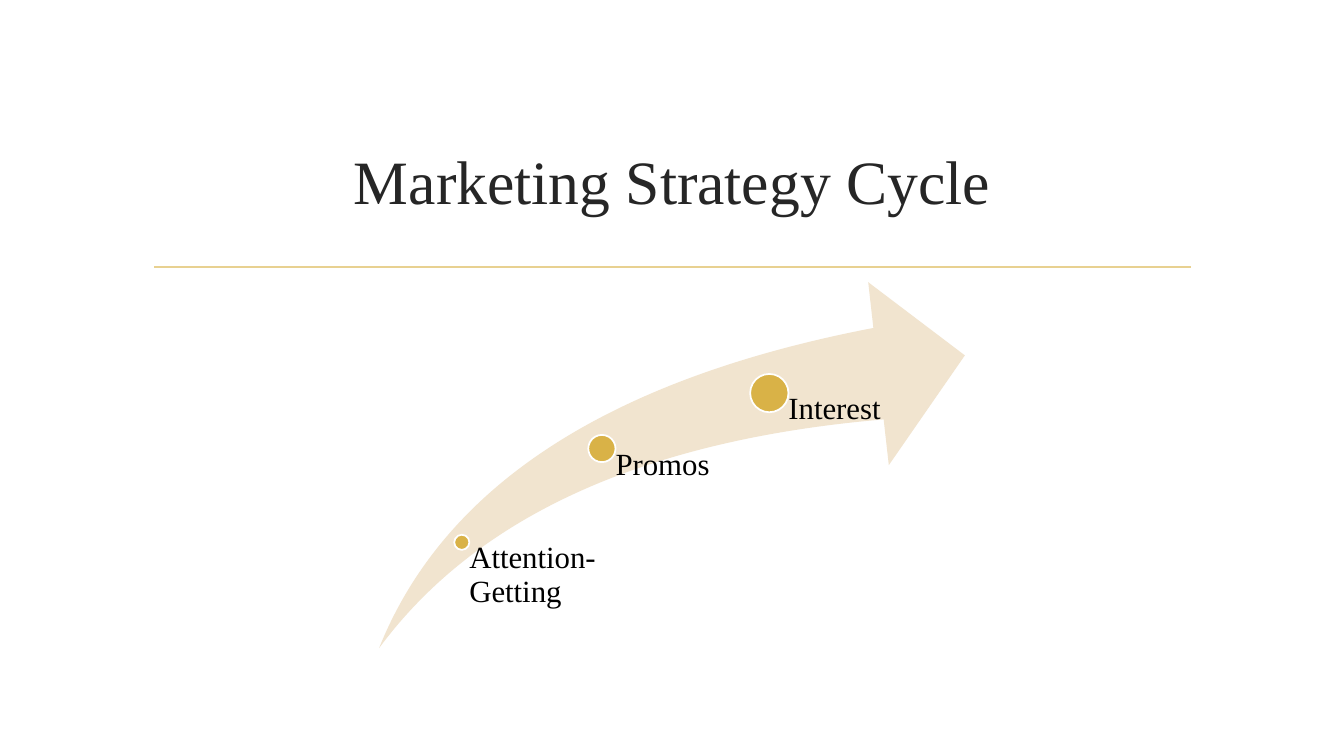
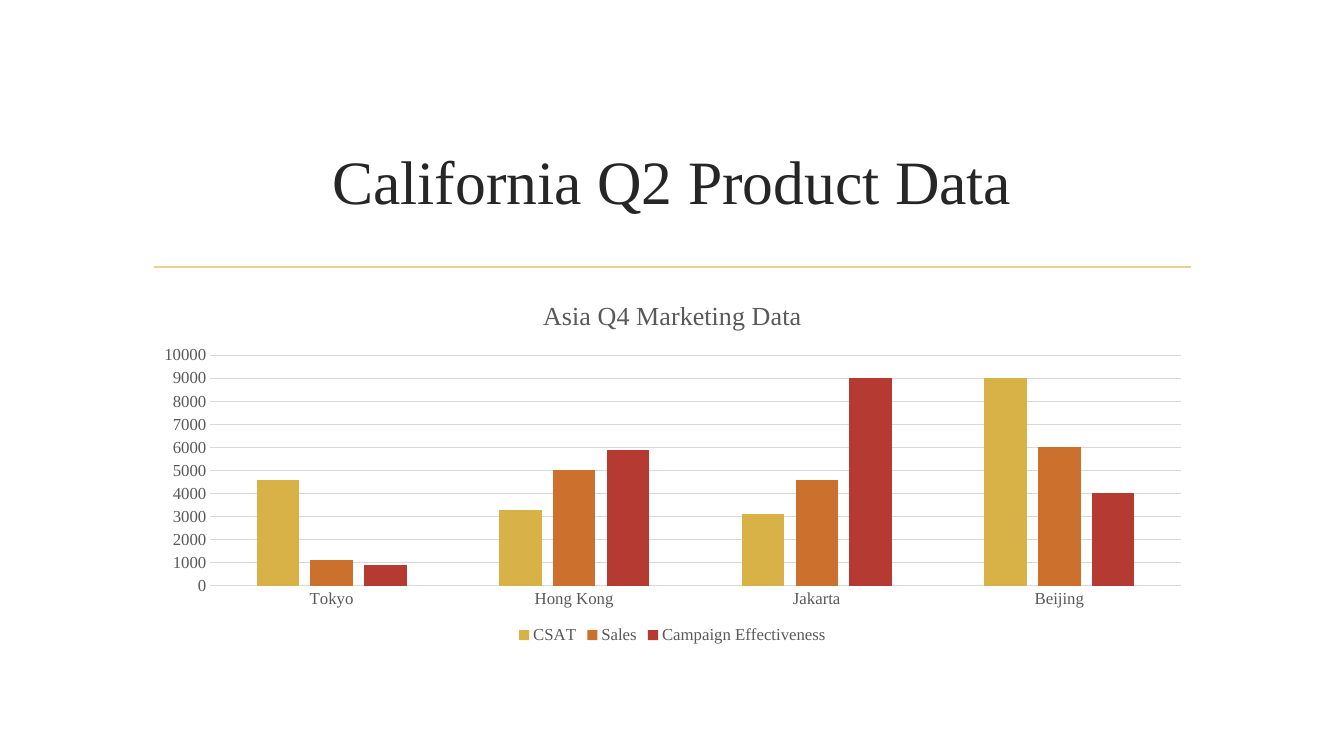
from pptx import Presentation
from pptx import util as u
from pptx.chart.data import CategoryChartData
from pptx.dml.color import RGBColor
from pptx.enum import chart as ch, shapes, text
from pptx.oxml.ns import qn
from lxml import etree

FONT = "Times New Roman"
GOLD, ORANGE, RED = "D9B247", "CC702D", "B53A31"
PALE_GOLD, SAND, WHITE, BLACK = "E8D191", "F1E4CF", "FFFFFF", "000000"
TITLE_INK, CHART_INK, GRID = "262626", "595959", "D9D9D9"
BODY = (1.42, 2.8, 10.5, 3.63)
BODY_BOTTOM = 6.43


def rgb(hex_color):
    return RGBColor.from_string(hex_color)


def inches(*lengths):
    return [u.Inches(n) for n in lengths]


def set_font(font, size, color):
    for name, value in {"name": FONT, "size": u.Pt(size), "bold": False}.items():
        setattr(font, name, value)
    font.color.rgb = rgb(color)


def set_line(line, color, width):
    line.color.rgb = rgb(color)
    line.width = u.Pt(width)


def add_text(s, box, content, size, color, frame=None, para=None):
    """Add a one-paragraph text box; frame and para hold format values."""
    tf = s.shapes.add_textbox(*inches(*box)).text_frame
    p = tf.paragraphs[0]
    r = p.add_run()
    r.text = content
    set_font(r.font, size, color)
    for target, values in ((tf, {"word_wrap": True, **(frame or {})}), (p, para or {})):
        for name, value in values.items():
            setattr(target, name, value)


def add_preset(s, kind, box, fill, outline=None):
    sp = s.shapes.add_shape(kind, *inches(*box))
    sp.shadow.inherit = False
    sp.fill.solid()
    sp.fill.fore_color.rgb = rgb(fill)
    if outline:
        set_line(sp.line, outline, 1.25)
    else:
        sp.line.fill.background()
    return sp


def add_titled_slide(prs, title):
    """Add a slide with the shared title and the rule below it."""
    s = prs.slides.add_slide(prs.slide_layouts[6])
    rule = s.shapes.add_connector(shapes.MSO_CONNECTOR.STRAIGHT,
                                  *inches(1.53, 2.65, 11.81, 2.65))
    set_line(rule.line, PALE_GOLD, 1.25)
    etree.SubElement(rule._element.spPr, qn("a:effectLst"))
    add_text(s, (1.42, 1.07, 10.5, 1.43), title, 44, TITLE_INK,
             {"vertical_anchor": text.MSO_ANCHOR.MIDDLE},
             {"alignment": text.PP_ALIGN.CENTER})
    return s


def add_stage(s, label, cx, cy, size):
    """Add a dot centred on (cx, cy) with its label at the lower right."""
    add_preset(s, shapes.MSO_SHAPE.OVAL,
               (cx - size / 2, cy - size / 2, size, size), GOLD, WHITE)
    add_text(s, (cx, cy, 1.39, BODY_BOTTOM - cy), label, 22, BLACK,
             {"margin_left": u.Inches(size / 2), "margin_top": 0,
              "margin_right": 0, "margin_bottom": 0},
             {"line_spacing": 0.9})


def add_column_chart(s, box, title, categories, series):
    """Add clustered columns; series maps a name to (values, colour)."""
    data = CategoryChartData()
    data.categories = categories
    for name, (values, _) in series.items():
        data.add_series(name, values)
    chart = s.shapes.add_chart(ch.XL_CHART_TYPE.COLUMN_CLUSTERED,
                               *inches(*box), data).chart
    set_font(chart.font, 12, CHART_INK)

    chart.has_title = True
    chart.chart_title.include_in_layout = False
    tf = chart.chart_title.text_frame
    tf.text = title
    set_font(tf.paragraphs[0].runs[0].font, 18.6, CHART_INK)

    chart.has_legend = True
    chart.legend.position = ch.XL_LEGEND_POSITION.BOTTOM
    chart.legend.include_in_layout = False
    set_font(chart.legend.font, 12, CHART_INK)

    for axis in (chart.category_axis, chart.value_axis):
        axis.major_tick_mark = axis.minor_tick_mark = ch.XL_TICK_MARK.NONE
        set_font(axis.tick_labels.font, 12, CHART_INK)
    set_line(chart.category_axis.format.line, GRID, 0.75)
    values_axis = chart.value_axis
    for name, value in {"minimum_scale": 0, "maximum_scale": 10000,
                        "major_unit": 1000}.items():
        setattr(values_axis, name, value)
    values_axis.format.line.fill.background()
    set_line(values_axis.major_gridlines.format.line, GRID, 0.75)

    plot = chart.plots[0]
    for name, value in {"gap_width": 219, "overlap": -27,
                        "vary_by_categories": False}.items():
        setattr(plot, name, value)
    for columns, (_, color) in zip(plot.series, series.values()):
        columns.invert_if_negative = False
        columns.format.fill.solid()
        columns.format.fill.fore_color.rgb = rgb(color)


def main():
    prs = Presentation()
    prs.slide_width, prs.slide_height = inches(13.33, 7.5)

    s = add_titled_slide(prs, "Marketing Strategy Cycle")
    arrow = add_preset(s, shapes.MSO_SHAPE.SWOOSH_ARROW, (3.76, 2.8, 5.81, 3.63), SAND)
    for i in range(2):
        arrow.adjustments[i] = 0.25
    for stage in (("Attention-Getting", 4.58, 5.38, 0.15),
                  ("Promos", 5.97, 4.45, 0.27),
                  ("Interest", 7.63, 3.9, 0.38)):
        add_stage(s, *stage)

    s = add_titled_slide(prs, "California Q2 Product Data")
    add_column_chart(s, BODY, "Asia Q4 Marketing Data",
                     ["Tokyo", "Hong Kong", "Jakarta", "Beijing"],
                     {"CSAT": ((4600, 3300, 3100, 9000), GOLD),
                      "Sales": ((1100, 5000, 4600, 6000), ORANGE),
                      "Campaign Effectiveness": ((900, 5900, 9000, 4000), RED)})

    prs.save("out.pptx")


if __name__ == "__main__":
    main()
